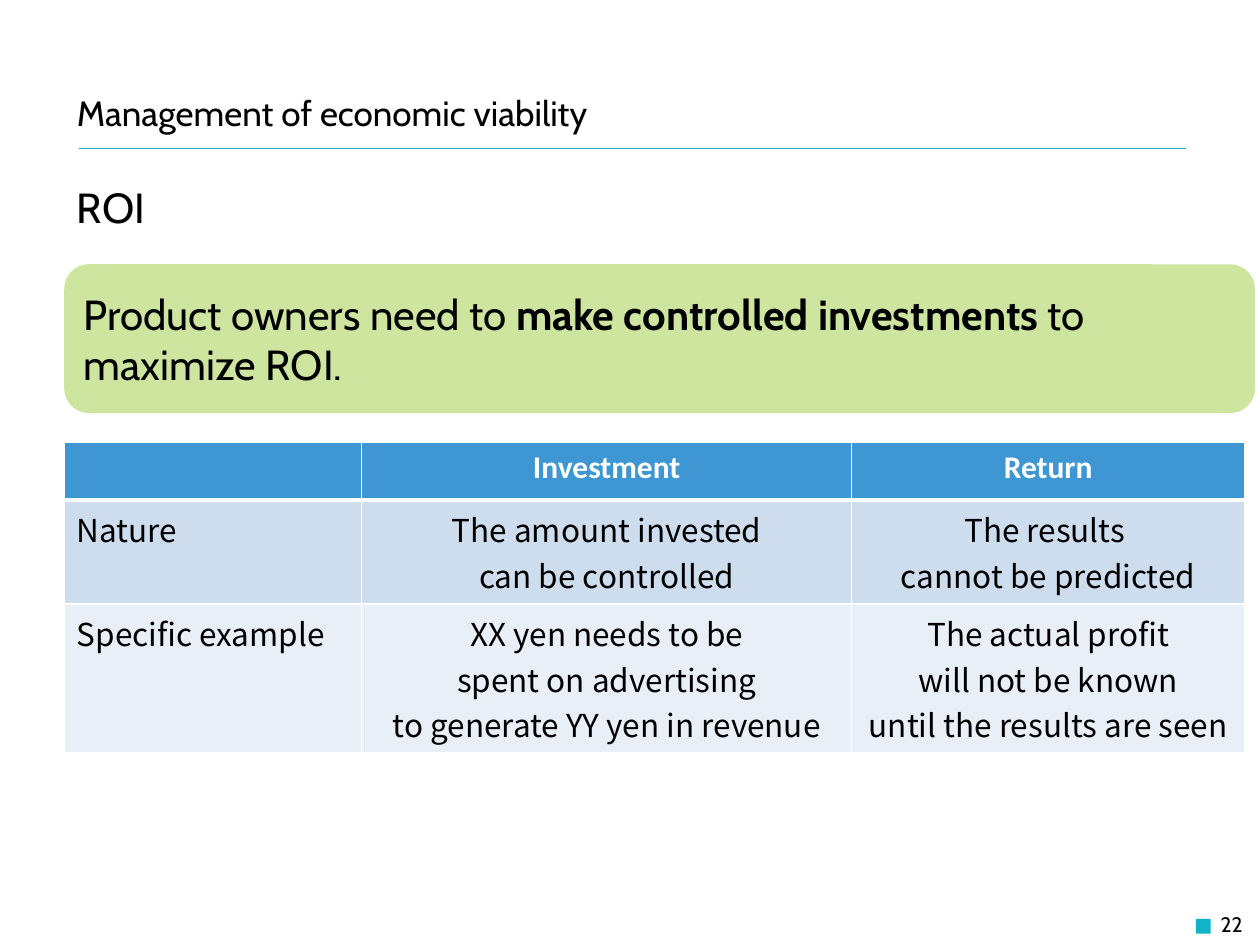
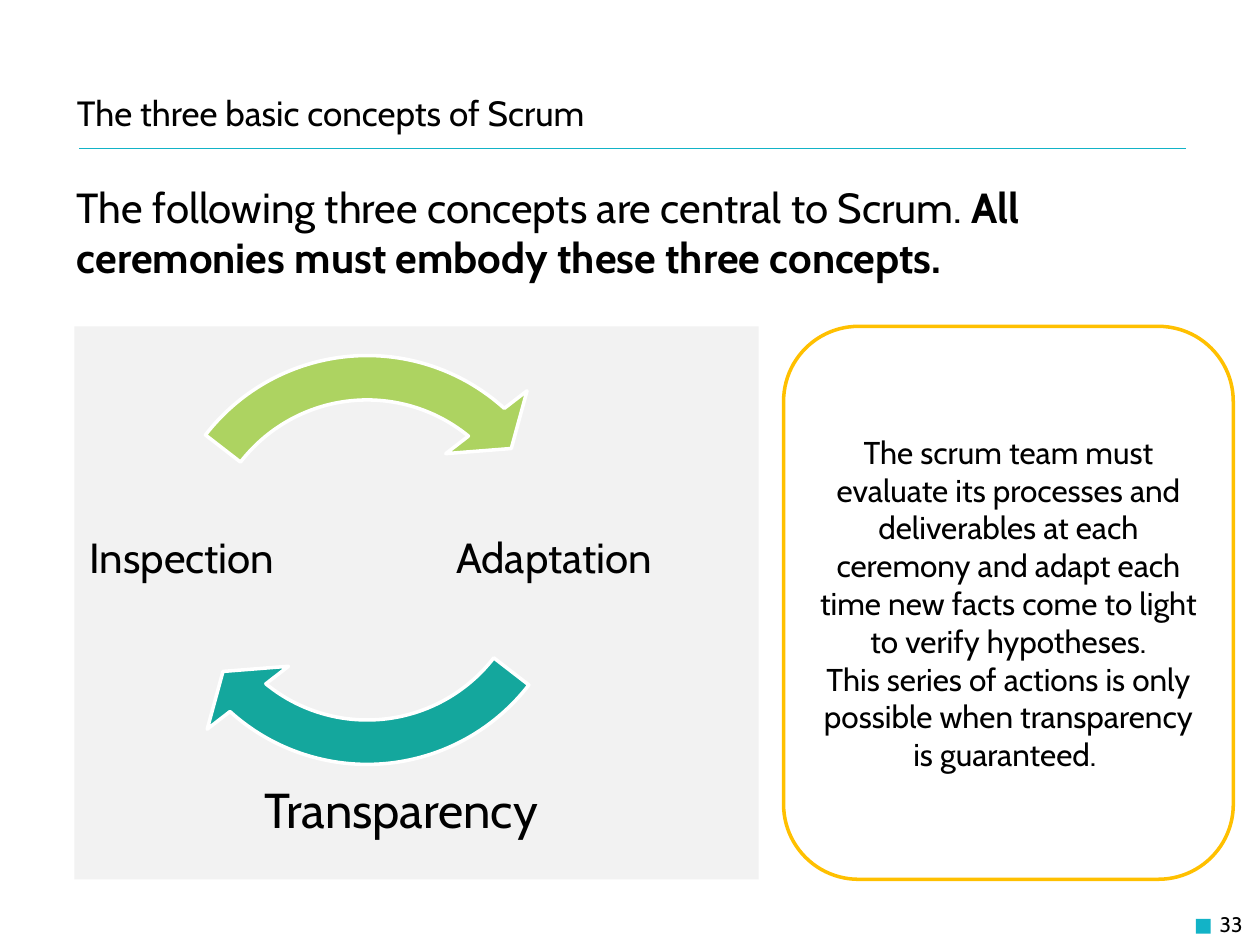
from dataclasses import dataclass

from lxml.etree import SubElement
from pptx import Presentation
from pptx.dml.color import RGBColor
from pptx.enum.shapes import MSO_CONNECTOR, MSO_SHAPE
from pptx.enum.text import MSO_ANCHOR, MSO_AUTO_SIZE, PP_ALIGN
from pptx.oxml.ns import qn
from pptx.util import Pt


@dataclass(frozen=True)
class Theme:
    accent: str = "12B3C7"
    text: str = "000000"
    white: str = "FFFFFF"
    callout: str = "CEE5A0"
    panel: str = "F2F2F2"
    note_line: str = "FFC000"
    lime: str = "ADD361"
    teal: str = "14A79D"
    table_head: str = "3E96D2"
    table_rows: tuple[str, ...] = ("CEDDEE", "E8EFF7")
    font: str = "Cabin"
    head_font: str = "Calibri"
    cell_font: str = "Noto Sans CJK JP"
    page_size: float = 12
    note_size: float = 18
    title_size: float = 20
    body_size: float = 24
    emphasis_size: float = 28


THEME = Theme()


@dataclass(frozen=True)
class Box:
    left: float
    top: float
    width: float
    height: float

    def lengths(self) -> tuple:
        return Pt(self.left), Pt(self.top), Pt(self.width), Pt(self.height)


@dataclass(frozen=True)
class Span:
    text: str
    bold: bool = False


@dataclass(frozen=True)
class Style:
    size: float
    font: str = THEME.font
    color: str = THEME.text
    align: PP_ALIGN = PP_ALIGN.LEFT
    anchor: MSO_ANCHOR = MSO_ANCHOR.MIDDLE
    line_spacing: float = 1.0
    inset: float | None = None


@dataclass(frozen=True)
class Concept:
    label: str
    box: Box
    style: Style


@dataclass(frozen=True)
class CycleArrow:
    color: str
    head_angle: float
    tail_angle: float


Lines = list[list[Span]]


# Text
def fill_text(frame, lines: Lines, style: Style) -> None:
    frame.word_wrap = True
    frame.auto_size = MSO_AUTO_SIZE.NONE
    frame.vertical_anchor = style.anchor
    if style.inset is not None:
        frame.margin_left = frame.margin_right = Pt(style.inset)
        frame.margin_top = frame.margin_bottom = Pt(style.inset)
    write_lines(frame, lines, style)


def write_lines(frame, lines: Lines, style: Style) -> None:
    for index, spans in enumerate(lines):
        paragraph = frame.add_paragraph() if index else frame.paragraphs[0]
        paragraph.alignment = style.align
        paragraph.line_spacing = style.line_spacing
        paragraph.space_before = Pt(0)
        for span in spans:
            run = paragraph.add_run()
            run.text = span.text
            run.font.name = style.font
            run.font.size = Pt(style.size)
            run.font.bold = span.bold
            run.font.color.rgb = RGBColor.from_string(style.color)


def add_label(slide, box: Box, text: str, style: Style) -> None:
    label = slide.shapes.add_textbox(*box.lengths())
    fill_text(label.text_frame, [[Span(text)]], style)


def place(placeholder, box: Box) -> None:
    (placeholder.left, placeholder.top,
     placeholder.width, placeholder.height) = box.lengths()


# Shapes
def add_figure(slide, kind: MSO_SHAPE, box: Box, fill: str | None = None,
               line: str | None = None):
    figure = slide.shapes.add_shape(kind, *box.lengths())
    figure.shadow.inherit = False
    if fill:
        figure.fill.solid()
        figure.fill.fore_color.rgb = RGBColor.from_string(fill)
    else:
        figure.fill.background()
    if line:
        figure.line.color.rgb = RGBColor.from_string(line)
        figure.line.width = Pt(2)
    else:
        figure.line.fill.background()
    return figure


def add_title_rule(slide) -> None:
    rule = slide.shapes.add_connector(
        MSO_CONNECTOR.STRAIGHT, Pt(45.4), Pt(85), Pt(677.5), Pt(85))
    rule.line.color.rgb = RGBColor.from_string(THEME.accent)
    rule.line.width = Pt(0.25)
    SubElement(rule._element.spPr, qn("a:effectLst"))


# Frame shared by the slides
def add_page(deck, title: str, body: list[Span], body_height: float, number: int):
    slide = deck.slides.add_slide(deck.slide_layouts[1])
    add_figure(slide, MSO_SHAPE.RECTANGLE, Box(683.3, 525, 8.6, 8.6), THEME.accent)
    add_title_rule(slide)

    heading = slide.shapes.title
    place(heading, Box(36.7, 52, 493, 25))
    fill_text(heading.text_frame, [[Span(title)]], Style(THEME.title_size))

    lead = slide.placeholders[1]
    place(lead, Box(36.7, 100, 663, body_height))
    properties = lead.text_frame.paragraphs[0]._p.get_or_add_pPr()
    properties.set("marL", "0")
    properties.set("indent", "0")
    SubElement(properties, qn("a:buNone"))
    fill_text(lead.text_frame, [body],
              Style(THEME.body_size, anchor=MSO_ANCHOR.TOP))

    add_label(slide, Box(549.4, 513.4, 167.8, 28.8), str(number),
              Style(THEME.page_size, align=PP_ALIGN.RIGHT))
    return slide


# Table
def set_borders(cell, bottom: float) -> None:
    properties = cell._tc.get_or_add_tcPr()
    for side, width in (("L", 1), ("R", 1), ("T", 1), ("B", bottom)):
        border = SubElement(properties, qn(f"a:ln{side}"), w=str(Pt(width)))
        fill = SubElement(border, qn("a:solidFill"))
        SubElement(fill, qn("a:srgbClr"), val=THEME.white)


def add_comparison(slide, rows: list[list[str]]) -> None:
    widths, heights = (170, 280, 224.6), (33, 59.3, 85.4)
    box = Box(36.7, 252.7, sum(widths), sum(heights))
    table = slide.shapes.add_table(len(rows), len(widths), *box.lengths()).table
    table.horz_banding = False
    for column, width in zip(table.columns, widths):
        column.width = Pt(width)
    for row_index, (row, height) in enumerate(zip(rows, heights)):
        table.rows[row_index].height = Pt(height)
        is_head = row_index == 0
        fill = THEME.table_head if is_head else THEME.table_rows[row_index - 1]
        for column_index, text in enumerate(row):
            cell = table.cell(row_index, column_index)
            set_borders(cell, bottom=3 if is_head else 1)
            cell.fill.solid()
            cell.fill.fore_color.rgb = RGBColor.from_string(fill)
            if not text:
                continue
            style = Style(
                THEME.note_size,
                font=THEME.head_font if is_head else THEME.cell_font,
                color=THEME.white if is_head else THEME.text,
                align=PP_ALIGN.CENTER if column_index else PP_ALIGN.LEFT)
            lines = [[Span(line, bold=is_head)] for line in text.split("\n")]
            write_lines(cell.text_frame, lines, style)


# Slides
def build_viability(deck) -> None:
    slide = add_page(deck, "Management of economic viability", [Span("ROI")], 40, 22)
    callout = add_figure(slide, MSO_SHAPE.ROUNDED_RECTANGLE,
                         Box(36.7, 151, 680.4, 85), THEME.callout)
    fill_text(callout.text_frame, [[
        Span("Product owners need to "),
        Span("make controlled investments ", bold=True),
        Span("to maximize ROI."),
    ]], Style(THEME.body_size))
    add_comparison(slide, [
        ["", "Investment", "Return"],
        ["Nature",
         "The amount invested\ncan be controlled",
         "The results \ncannot be predicted"],
        ["Specific example",
         "XX yen needs to be\nspent on advertising\nto generate YY yen in revenue",
         "The actual profit\nwill not be known\nuntil the results are seen"],
    ])


def build_concepts(deck) -> None:
    slide = add_page(deck, "The three basic concepts of Scrum", [
        Span("The following three concepts are central to Scrum. "),
        Span("All ceremonies must embody these three concepts.", bold=True),
    ], 86, 33)
    top, height = 186.5, 316
    add_figure(slide, MSO_SHAPE.RECTANGLE, Box(42.5, top, 391, height), THEME.panel)

    # Cycle of inspection and adaptation
    for arrow in (CycleArrow(THEME.teal, 78.53, 22.62),
                  CycleArrow(THEME.lime, 186.53, 130.62)):
        arc = add_figure(slide, MSO_SHAPE.CIRCULAR_ARROW,
                         Box(76.3, top, 267, 267), arrow.color, THEME.white)
        settings = (0.095, 6.84, arrow.head_angle, arrow.tail_angle, 0.11)
        for index, value in enumerate(settings):
            arc.adjustments[index] = value

    cycle = Style(THEME.body_size, align=PP_ALIGN.CENTER, line_spacing=0.9, inset=2.4)
    base = Style(THEME.emphasis_size, align=PP_ALIGN.CENTER, anchor=MSO_ANCHOR.TOP)
    for concept in (Concept("Adaptation", Box(219, 255, 195, 130), cycle),
                    Concept("Inspection", Box(39, 255, 130, 130), cycle),
                    Concept("Transparency", Box(121.7, 442, 215, 41), base)):
        add_label(slide, concept.box, concept.label, concept.style)

    # Note beside the cycle
    note = add_figure(slide, MSO_SHAPE.ROUNDED_RECTANGLE,
                      Box(447.8, top, 257, height), line=THEME.note_line)
    fill_text(note.text_frame, [
        [Span("The scrum team must evaluate its processes and deliverables at each "
              "ceremony and adapt each time new facts come to light to verify "
              "hypotheses.")],
        [Span("This series of actions is only possible when transparency is "
              "guaranteed. ")],
    ], Style(THEME.note_size, align=PP_ALIGN.CENTER))


def main() -> None:
    deck = Presentation()
    deck.slide_width, deck.slide_height = Pt(720), Pt(540)
    build_viability(deck)
    build_concepts(deck)
    deck.save("out.pptx")


if __name__ == "__main__":
    main()
